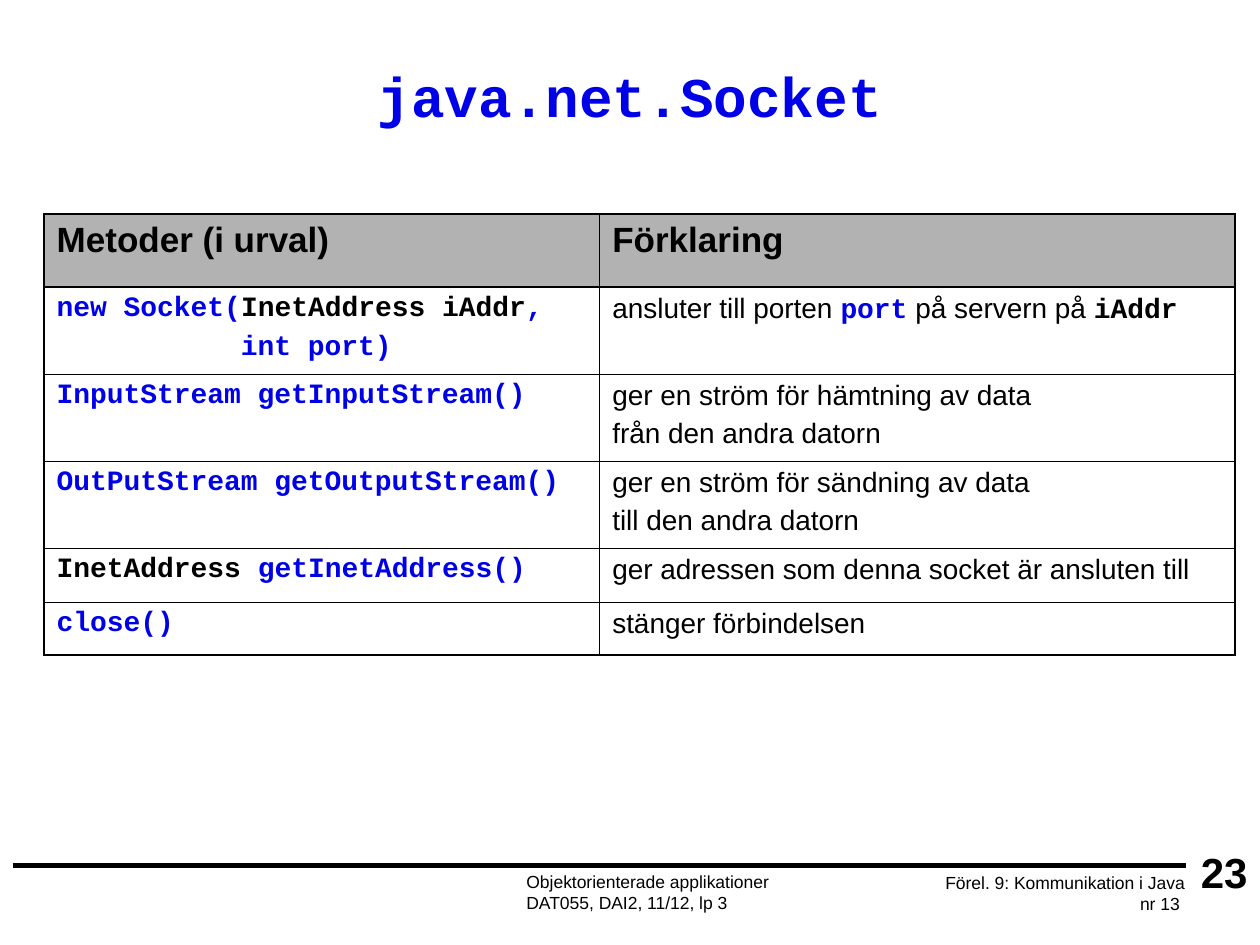
from dataclasses import dataclass
from typing import NamedTuple

from pptx import Presentation
from pptx.dml.color import RGBColor
from pptx.enum.shapes import MSO_CONNECTOR
from pptx.enum.text import MSO_ANCHOR, MSO_AUTO_SIZE, PP_ALIGN
from pptx.oxml.ns import qn
from pptx.util import Inches, Pt
from lxml.etree import SubElement

BLACK = RGBColor(0x00, 0x00, 0x00)
BLUE = RGBColor(0x00, 0x00, 0xE8)
GREY = RGBColor(0xB2, 0xB2, 0xB2)
THICK, THIN = 1.08, 0.45


class Look(NamedTuple):
    face: str
    color: RGBColor
    bold: bool


PLAIN = Look("Arial", BLACK, False)
HEAD = Look("Arial", BLACK, True)
CODE = Look("Courier New", BLUE, True)
TYPE = Look("Courier New", BLACK, True)


class Part(NamedTuple):
    text: str
    look: Look


Line = list[Part]


@dataclass
class Label:
    left: float
    top: float
    width: float
    lines: list[str]
    size: int
    look: Look
    align: PP_ALIGN


LABELS = [
    Label(4.08, 6.83, 2.67,
          ["Objektorienterade applikationer", "DAT055, DAI2, 11/12, lp 3"],
          10, PLAIN, PP_ALIGN.LEFT),
    Label(6.83, 6.84, 2.67, ["Förel. 9: Kommunikation i Java", "nr 13 "],
          10, PLAIN, PP_ALIGN.RIGHT),
    Label(9.42, 6.67, 0.58, ["23"], 24, HEAD, PP_ALIGN.RIGHT),
]

WIDTHS = [4.41, 5.04]
HEIGHTS = [0.58, 0.69, 0.69, 0.69, 0.43, 0.42]


def lines(look: Look, *texts: str) -> list[Line]:
    return [[Part(text, look)] for text in texts]


ROWS = [
    [lines(HEAD, "Metoder (i urval)"), lines(HEAD, "Förklaring")],
    [[[Part("new Socket(", CODE), Part("InetAddress iAddr", TYPE),
       Part(",", CODE)],
      [Part("           int port)", CODE)]],
     [[Part("ansluter till porten ", PLAIN), Part("port", CODE),
       Part(" på servern på ", PLAIN), Part("iAddr", TYPE)]]],
    [lines(CODE, "InputStream getInputStream()"),
     lines(PLAIN, "ger en ström för hämtning av data",
           "från den andra datorn")],
    [lines(CODE, "OutPutStream getOutputStream()"),
     lines(PLAIN, "ger en ström för sändning av data",
           "till den andra datorn")],
    [[[Part("InetAddress", TYPE), Part(" getInetAddress()", CODE)]],
     lines(PLAIN, "ger adressen som denna socket är ansluten till")],
    [lines(CODE, "close()"), lines(PLAIN, "stänger förbindelsen")],
]


def style(font, look: Look) -> None:
    font.name = look.face
    font.bold = look.bold
    font.color.rgb = look.color


def write(frame, text: list[Line], size: int, gap: int = 0,
          align: PP_ALIGN = PP_ALIGN.LEFT) -> None:
    for i, line in enumerate(text):
        para = frame.add_paragraph() if i else frame.paragraphs[0]
        para.alignment = align
        if i and gap:
            para.space_before = Pt(gap)
        para.font.size = Pt(size)
        if len(line) == 1:
            style(para.font, line[0].look)
        for part in line:
            run = para.add_run()
            run.text = part.text
            if len(line) > 1:
                style(run.font, part.look)


def add_title(slide) -> None:
    title = slide.shapes.title
    title.left, title.top = Inches(0), Inches(0.33)
    title.width, title.height = Inches(10), Inches(0.75)
    frame = title.text_frame
    frame.auto_size = MSO_AUTO_SIZE.NONE
    frame.vertical_anchor = MSO_ANCHOR.MIDDLE
    write(frame, lines(CODE, "java.net.Socket"), 32, align=PP_ALIGN.CENTER)
    frame.paragraphs[0].line_spacing = 1.2


def add_label(slide, label: Label) -> None:
    box = slide.shapes.add_textbox(Inches(label.left), Inches(label.top),
                                   Inches(label.width), Inches(0.5))
    frame = box.text_frame
    frame.word_wrap = True
    frame.vertical_anchor = MSO_ANCHOR.MIDDLE
    write(frame, lines(label.look, *label.lines), label.size,
          align=label.align)


def add_rule(slide) -> None:
    rule = slide.shapes.add_connector(
        MSO_CONNECTOR.STRAIGHT, Inches(0.1), Inches(6.87),
        Inches(9.41), Inches(6.87))
    rule.line.color.rgb = BLACK
    rule.line.width = Pt(3)
    SubElement(rule._element.spPr, qn("a:effectLst"))


def set_edge(cell, side: str, width: float) -> None:
    props = cell._tc.get_or_add_tcPr()
    edge = SubElement(props, qn(f"a:ln{side}"), w=str(int(Pt(width))))
    fill = SubElement(edge, qn("a:solidFill"))
    SubElement(fill, qn("a:srgbClr"), val=str(BLACK))


def add_grid(slide) -> None:
    table = slide.shapes.add_table(
        len(ROWS), len(WIDTHS), Inches(0.35), Inches(1.7),
        Inches(sum(WIDTHS)), Inches(sum(HEIGHTS))).table
    table.first_row = table.horz_banding = False
    for col, width in zip(table.columns, WIDTHS):
        col.width = Inches(width)
    for row, height in zip(table.rows, HEIGHTS):
        row.height = Inches(height)
    last = len(ROWS) - 1
    for r, row in enumerate(ROWS):
        for c, text in enumerate(row):
            cell = table.cell(r, c)
            outer = {"L": c == 0, "R": c == 1,
                     "T": r <= 1, "B": r in (0, last)}
            for side, thick in outer.items():
                set_edge(cell, side, THICK if thick else THIN)
            if r == 0:
                cell.fill.solid()
                cell.fill.fore_color.rgb = GREY
            else:
                cell.fill.background()
            write(cell.text_frame, text, 16 if r else 20, gap=4)


def main() -> None:
    deck = Presentation()
    deck.slide_width, deck.slide_height = Inches(10), Inches(7.5)
    slide = deck.slides.add_slide(deck.slide_layouts[5])
    add_rule(slide)
    add_title(slide)
    add_grid(slide)
    for label in LABELS:
        add_label(slide, label)
    deck.save("out.pptx")


if __name__ == "__main__":
    main()
